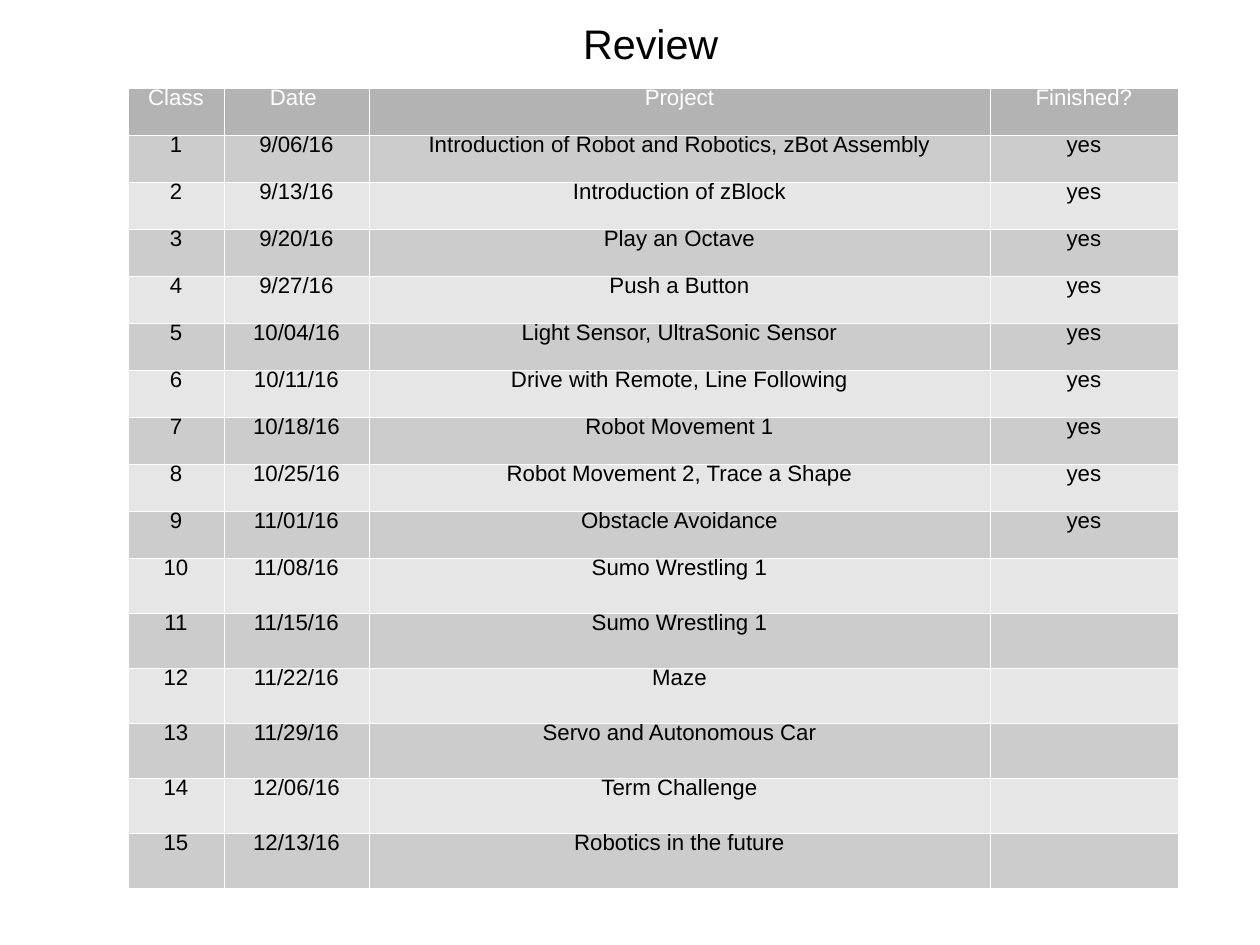
from lxml.etree import SubElement
from pptx import Presentation
from pptx.dml.color import RGBColor as RGB
from pptx.enum.text import MSO_ANCHOR as ANCHOR, MSO_AUTO_SIZE as AUTO, PP_ALIGN as ALIGN
from pptx.oxml.ns import qn
from pptx.util import Pt

PX = 8000
FONT = "Arial"
COLORS = {
    "text": "000000",
    "header_text": "FFFFFF",
    "header": "B3B3B3",
    "odd": "CCCCCC",
    "even": "E6E6E6",
    "border": "FFFFFF",
}
COLUMNS = [96, 145, 621, 188]
HEADER = ["Class", "Date ", "Project", "Finished?"]
DONE = 9
ROW_DONE, ROW_OPEN = 47, 55
CLASSES = [
    ("9/06/16", "Introduction of Robot and Robotics, zBot Assembly"),
    ("9/13/16", "Introduction of zBlock"),
    ("9/20/16", "Play an Octave"),
    ("9/27/16", "Push a Button"),
    ("10/04/16", "Light Sensor, UltraSonic Sensor"),
    ("10/11/16", "Drive with Remote, Line Following"),
    ("10/18/16", "Robot Movement 1"),
    ("10/25/16", "Robot Movement 2, Trace a Shape"),
    ("11/01/16", "Obstacle Avoidance"),
    ("11/08/16", "Sumo Wrestling 1"),
    ("11/15/16", "Sumo Wrestling 1"),
    ("11/22/16", "Maze"),
    ("11/29/16", "Servo and Autonomous Car"),
    ("12/06/16", "Term Challenge"),
    ("12/13/16", "Robotics in the future"),
]


def px(*values):
    return [v * PX for v in values]


def color(name):
    return RGB.from_string(COLORS[name])


def format_text(tf, size, ink, align, spacing):
    for p in tf.paragraphs:
        p.alignment = align
        p.line_spacing = spacing
        for r in p.runs:
            r.font.name = FONT
            r.font.size = Pt(size)
            r.font.bold = False
            r.font.color.rgb = color(ink)


def add_title(s, x, y, w, h):
    sp = s.shapes.title
    sp.left, sp.top, sp.width, sp.height = px(x, y, w, h)
    tf = sp.text_frame
    tf.text = "Review"
    tf.word_wrap = True
    tf.auto_size = AUTO.NONE
    tf.vertical_anchor = ANCHOR.MIDDLE
    tf.margin_left = tf.margin_right = tf.margin_bottom = 0
    tf.margin_top = Pt(2)
    format_text(tf, 26, "text", ALIGN.LEFT, 0.93)


def add_borders(cell):
    tcPr = cell._tc.get_or_add_tcPr()
    for side in ("lnL", "lnR", "lnT", "lnB"):
        ln = SubElement(tcPr, qn(f"a:{side}"), w="720")
        fill = SubElement(ln, qn("a:solidFill"))
        SubElement(fill, qn("a:srgbClr"), val=COLORS["border"])


def add_schedule(s, x, y, w, h):
    rows = [HEADER]
    for i, (date, project) in enumerate(CLASSES, 1):
        rows.append([str(i), date, project, "yes" if i <= DONE else ""])
    frame = s.shapes.add_table(len(rows), len(COLUMNS), *px(x, y, w, h))
    table = frame.table
    table.first_row = table.horz_banding = False
    for column, width in zip(table.columns, COLUMNS):
        column.width = width * PX
    for i, values in enumerate(rows):
        table.rows[i].height = (ROW_DONE if i <= DONE else ROW_OPEN) * PX
        band = "header" if i == 0 else "odd" if i % 2 else "even"
        ink = "text" if i else "header_text"
        for j, value in enumerate(values):
            cell = table.cell(i, j)
            add_borders(cell)
            cell.fill.solid()
            cell.fill.fore_color.rgb = color(band)
            if value:
                cell.text_frame.text = value
                format_text(cell.text_frame, 14, ink, ALIGN.CENTER, 0.58)


def main():
    prs = Presentation()
    prs.slide_width, prs.slide_height = px(1260, 945)
    s = prs.slides.add_slide(prs.slide_layouts[5])
    add_title(s, 583, -1, 331, 90)
    add_schedule(s, 128, 88, 1050, 800)
    prs.save("out.pptx")


if __name__ == "__main__":
    main()
